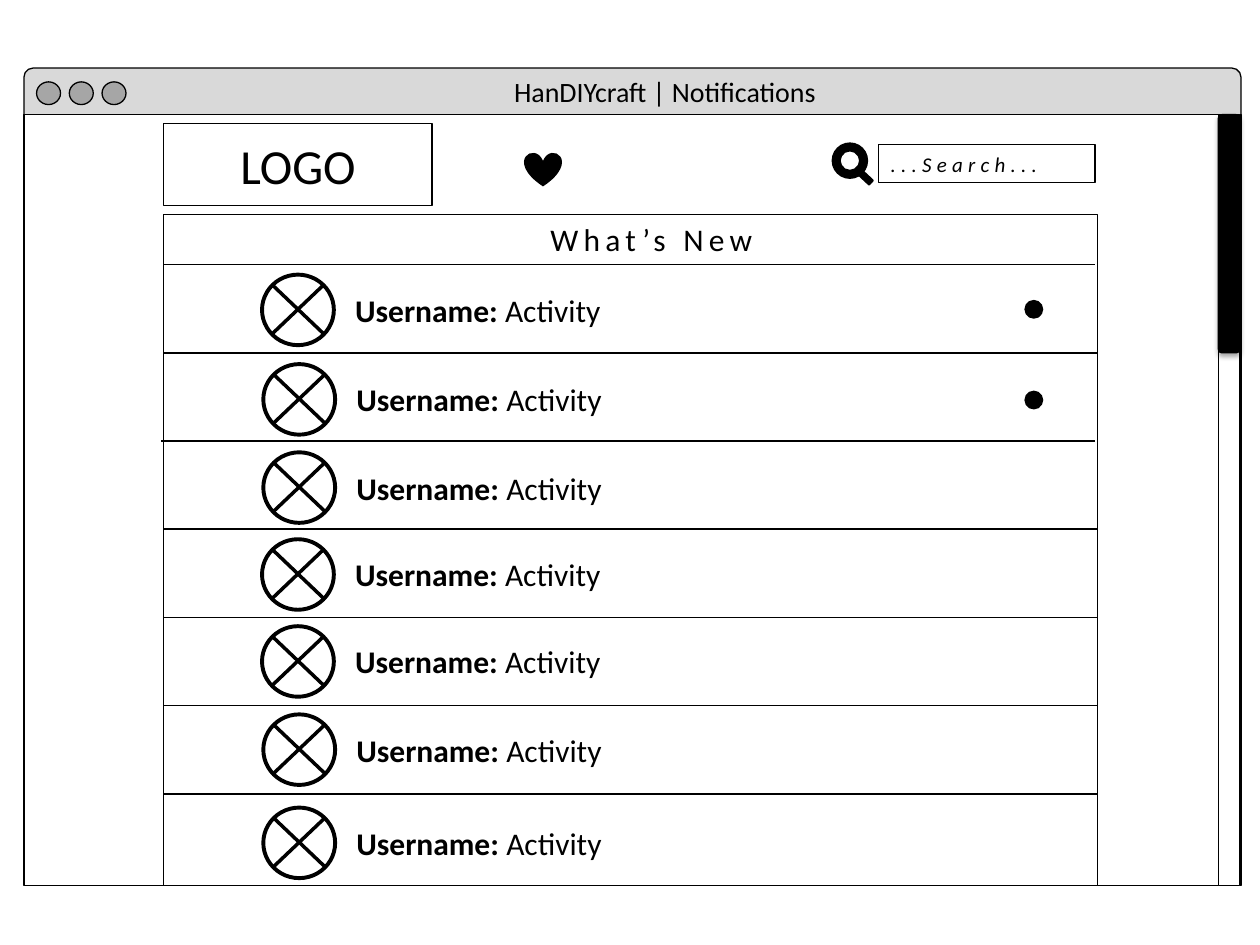
"""Build the notifications page wireframe as one slide."""
import pptx
import pptx.dml.color
import pptx.enum.shapes
import pptx.enum.text
import pptx.oxml
import pptx.oxml.ns
import pptx.util
from pptx.util import Inches

KIND = pptx.enum.shapes.MSO_SHAPE
ALIGN = pptx.enum.text.PP_ALIGN
ANCHOR = pptx.enum.text.MSO_ANCHOR
FIT = pptx.enum.text.MSO_AUTO_SIZE
BLACK, WHITE, BAR, BUTTON = "000000", "FFFFFF", "D9D9D9", "A6A6A6"
ROWS = [  # circle left, circle top, rule start, rule end
    (2.08, 2.18, 1.3, 8.69),
    (2.09, 2.89, 1.3, 8.71),
    (2.09, 3.59, 1.28, 8.69),
    (2.08, 4.28, 1.3, 8.71),
    (2.08, 4.97, 1.3, 8.71),
    (2.09, 5.67, 1.3, 8.71),
    (2.09, 6.41, 1.3, 8.71),
]


def color(code):
    """Turn a hex string into a colour."""
    return pptx.dml.color.RGBColor.from_string(code)


def draw(slide, kind, box, fill=None, line=0.75):
    """Add a preset shape; no fill or a zero line leaves that part off."""
    shape = slide.shapes.add_shape(kind, *map(Inches, box))
    shape.shadow.inherit = False
    if fill:
        shape.fill.solid()
        shape.fill.fore_color.rgb = color(fill)
    else:
        shape.fill.background()
    if line:
        shape.line.color.rgb = color(BLACK)
        shape.line.width = pptx.util.Pt(line)
    else:
        shape.line.fill.background()
    return shape


def rule(slide, start, end, width=1):
    """Add a straight black line between two points."""
    kind = pptx.enum.shapes.MSO_CONNECTOR.STRAIGHT
    line = slide.shapes.add_connector(kind, *map(Inches, start + end))
    line.line.color.rgb = color(BLACK)
    line.line.width = pptx.util.Pt(width)
    pptx.oxml.ns.qn("a:effectLst")
    props = line._element.spPr
    props.append(props.makeelement(pptx.oxml.ns.qn("a:effectLst"), {}))


def write(shape, parts, size, align=ALIGN.LEFT, anchor=ANCHOR.TOP,
          fit=FIT.SHAPE_TO_FIT_TEXT, space=0):
    """Fill a shape with one paragraph of (text, format) parts."""
    frame = shape.text_frame
    form = {"word_wrap": True, "auto_size": fit, "vertical_anchor": anchor}
    for name, value in form.items():
        setattr(frame, name, value)
    para = frame.paragraphs[0]
    para.alignment = align
    for text, extra in parts:
        run = para.add_run()
        run.text = text
        look = {"name": "Calibri", "size": pptx.util.Pt(size), **extra}
        for name, value in look.items():
            setattr(run.font, name, value)
        run.font.color.rgb = color(BLACK)
        if space:
            run._r.get_or_add_rPr().set("spc", str(space * 100))


def label(slide, box, parts, size, **form):
    """Add a text box."""
    write(slide.shapes.add_textbox(*map(Inches, box)), parts, size, **form)


def shade(shape):
    """Give a shape a soft shadow below."""
    space = pptx.oxml.ns.nsdecls("a")
    glow = pptx.oxml.parse_xml(
        f'<a:outerShdw {space} blurRad="39370" dist="22860" dir="5400000" '
        'rotWithShape="0"><a:srgbClr val="000000"><a:alpha val="35000"/>'
        '</a:srgbClr></a:outerShdw>')
    shape._element.spPr.find(pptx.oxml.ns.qn("a:effectLst")).append(glow)


def window(slide):
    """Draw the browser frame, its buttons and its title."""
    draw(slide, KIND.ROUNDED_RECTANGLE, (0.19, 0.54, 9.66, 0.44), BAR)
    draw(slide, KIND.RECTANGLE, (0.19, 0.91, 9.66, 6.12), WHITE)
    for step in range(3):
        draw(slide, KIND.OVAL, (0.29 + 0.26 * step, 0.65, 0.19, 0.18), BUTTON)
    title = slide.shapes.title
    slide.shapes._spTree.append(title._element)
    place = {"left": 3.98, "top": 0.54, "width": 3, "height": 0.37}
    for name, value in place.items():
        setattr(title, name, Inches(value))
    write(title, [("HanDIYcraft | Notifications", {})], 16)


def scroll(slide):
    """Draw the scroll track and its thumb."""
    draw(slide, KIND.RECTANGLE, (9.67, 0.91, 0.17, 6.12), WHITE)
    shade(draw(slide, KIND.ROUNDED_RECTANGLE, (9.67, 0.91, 0.17, 1.89), BLACK))


def header(slide):
    """Draw the logo box, the heart and the search field."""
    logo = draw(slide, KIND.RECTANGLE, (1.3, 0.98, 2.13, 0.65), WHITE)
    write(logo, [("LOGO", {})], 28, ALIGN.CENTER, ANCHOR.MIDDLE, FIT.NONE)
    draw(slide, KIND.ROUNDED_RECTANGLE, (6.96, 1.18, 1.75, 0.38), WHITE, 0)
    field = draw(slide, KIND.RECTANGLE, (6.97, 1.15, 1.72, 0.3))
    write(field, [("...Search...", {"italic": True})], 12,
          anchor=ANCHOR.MIDDLE, space=3)
    draw(slide, KIND.DONUT, (6.6, 1.13, 0.29, 0.29), BLACK, 0)
    grip = draw(slide, KIND.ROUNDED_RECTANGLE, (6.78, 1.37, 0.16, 0.06),
                BLACK, 0)
    grip.rotation = 43.1
    draw(slide, KIND.HEART, (4.16, 1.21, 0.3, 0.27), BLACK, 0)


def entry(slide, left, top):
    """Draw one avatar with its user and activity."""
    draw(slide, KIND.OVAL, (left, top, 0.57, 0.56), line=2.25)
    west, east = left + 0.08, left + 0.49
    north, south = top + 0.08, top + 0.47
    rule(slide, (west, north), (east, south), 2)
    rule(slide, (west, south), (east, north), 2)
    parts = [("Username: ", {"bold": True}), ("Activity", {"bold": False})]
    label(slide, (left + 0.64, top + 0.08, 3.01, 0.4), parts, 18)


def feed(slide):
    """Draw the list of news with its rules and unread dots."""
    draw(slide, KIND.RECTANGLE, (1.3, 1.7, 7.41, 5.33), WHITE)
    label(slide, (4.16, 1.7, 2.02, 0.4), [("What’s New", {})], 18,
          align=ALIGN.CENTER, space=3)
    for step, (left, top, start, end) in enumerate(ROWS):
        high = 2.1 + 0.7 * step
        rule(slide, (start, high), (end, high))
        entry(slide, left, top)
    for top in (2.38, 3.1):
        draw(slide, KIND.OVAL, (8.13, top, 0.15, 0.15), BLACK, 0)


def main():
    """Build and save the slide."""
    deck = pptx.Presentation()
    deck.slide_width, deck.slide_height = Inches(10), Inches(7.5)
    slide = deck.slides.add_slide(deck.slide_layouts[5])
    for part in (window, feed, scroll, header):
        part(slide)
    deck.save("out.pptx")


if __name__ == "__main__":
    main()
